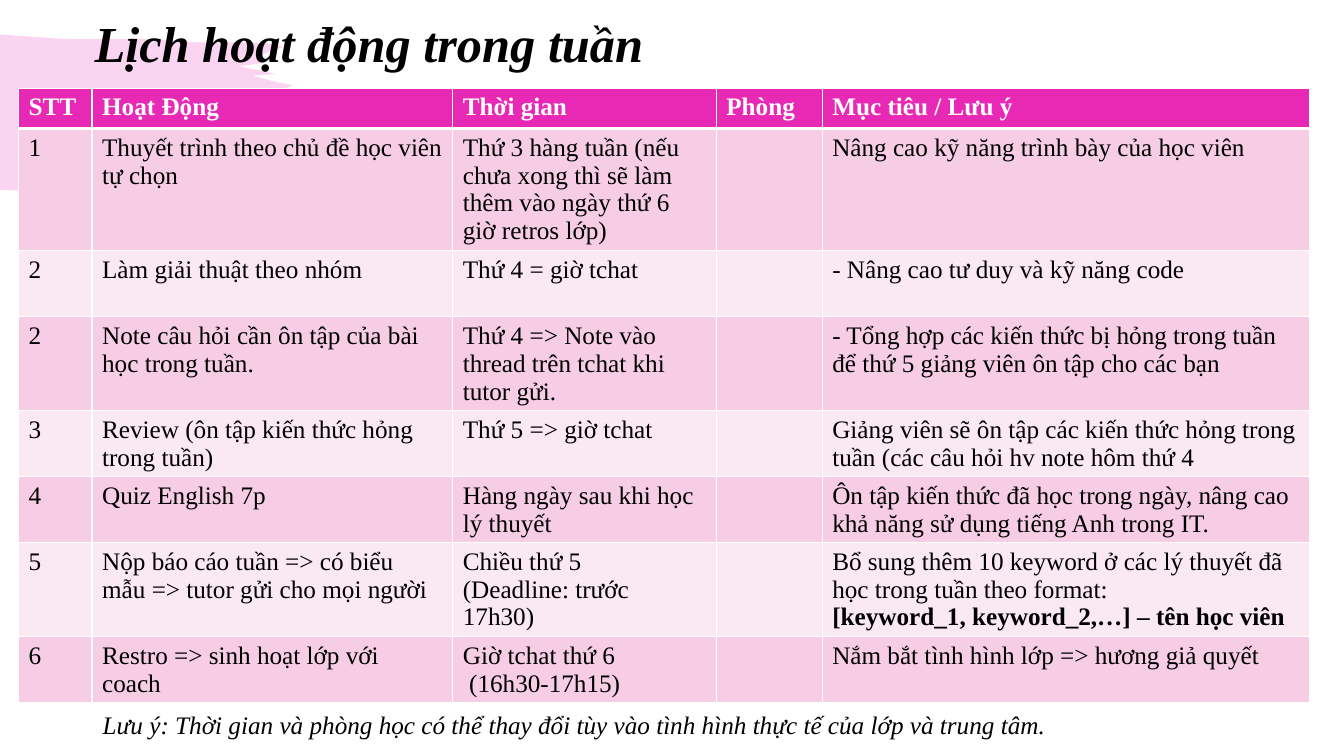
from lxml import etree
from pptx import Presentation
from pptx.dml.color import RGBColor
from pptx.enum.text import MSO_ANCHOR, PP_ALIGN
from pptx.oxml.ns import qn
from pptx.util import Cm, Pt

MIDDLE, LEFT = MSO_ANCHOR.MIDDLE, PP_ALIGN.LEFT
FONT = "Times New Roman"
BLACK = RGBColor(0, 0, 0)
WHITE = RGBColor(255, 255, 255)
PINK = RGBColor(0xE7, 0x29, 0xB5)
BANDS = RGBColor(0xF6, 0xCD, 0xE5), RGBColor(0xFA, 0xE8, 0xF3)
TITLE_ONLY = 5

COLUMN_WIDTHS = 1.85, 9.09, 6.64, 2.67, 12.28
HEADER_HEIGHT = 1.02
ROW_HEIGHTS_BY_LINES = {2: 1.66, 3: 2.37, 4: 3.08}
LINES_PER_ROW = 4, 2, 3, 2, 2, 3, 2
ROW_HEIGHTS = [HEADER_HEIGHT] + [ROW_HEIGHTS_BY_LINES[n] for n in LINES_PER_ROW]

# "\n" starts a paragraph; "\v" breaks the line and turns the rest bold
SCHEDULE = [
    ("STT", "Hoạt Động", "Thời gian", "Phòng", "Mục tiêu / Lưu ý"),
    ("1", "Thuyết trình theo chủ đề học viên tự chọn",
     "Thứ 3 hàng tuần (nếu chưa xong thì sẽ làm thêm vào ngày thứ 6 giờ retros lớp)",
     "", "Nâng cao kỹ năng trình bày của học viên"),
    ("2", "Làm giải thuật theo nhóm", "Thứ 4 = giờ tchat",
     "", "- Nâng cao tư duy và kỹ năng code"),
    ("2", "Note câu hỏi cần ôn tập của bài học trong tuần.",
     "Thứ 4 => Note vào thread trên tchat khi tutor gửi.",
     "", "- Tổng hợp các kiến thức bị hỏng trong tuần để thứ 5 giảng viên ôn tập cho các bạn"),
    ("3", "Review (ôn tập kiến thức hỏng trong tuần)", "Thứ 5 => giờ tchat",
     "", "Giảng viên sẽ ôn tập các kiến thức hỏng trong tuần (các câu hỏi hv note hôm thứ 4"),
    ("4", "Quiz English 7p", "Hàng ngày sau khi học lý thuyết",
     "", "Ôn tập kiến thức đã học trong ngày, nâng cao khả năng sử dụng tiếng Anh trong IT."),
    ("5", "Nộp báo cáo tuần => có biểu mẫu => tutor gửi cho mọi người",
     "Chiều thứ 5\n(Deadline: trước 17h30)",
     "", "Bổ sung thêm 10 keyword ở các lý thuyết đã học trong tuần theo format:"
         "\v[keyword_1, keyword_2,…] – tên học viên"),
    ("6", "Restro => sinh hoạt lớp với coach", "Giờ tchat thứ 6\n (16h30-17h15)",
     "", "Nắm bắt tình hình lớp => hương giả quyết"),
]

# Brush outline as fractions of its box
BRUSH_OUTLINE = [
    (0, 0), (0.2, 0.03), (0.46, 0.03), (0.59, 0.05), (0.75, 0.05), (0.82, 0.06),
    (0.85, 0.08), (0.77, 0.14), (0.79, 0.18), (0.72, 0.2), (0.83, 0.25), (0.76, 0.26),
    (0.83, 0.3), (0.88, 0.32), (0.86, 0.34), (0.8, 0.34), (1, 0.38), (0.97, 0.4),
    (0.96, 0.46), (0.85, 0.54), (0.83, 0.6), (0.93, 0.6), (0.76, 0.73), (0.6, 0.88),
    (0.31, 0.98), (0.2, 1), (0, 0.98),
]


def add_span(para, text, size, color, bold=False, italic=False):
    span = para.add_run()
    span.text = text
    font = span.font
    font.name, font.size, font.bold, font.italic = FONT, Pt(size), bold, italic
    font.color.rgb = color


def add_brush(page, left, top, width, height):
    points = [(left + x * width, top + y * height) for x, y in BRUSH_OUTLINE]
    builder = page.shapes.build_freeform(*points[0])
    builder.add_line_segments(points[1:], close=True)
    brush = builder.convert_to_shape()
    brush.shadow.inherit = False
    brush.line.fill.background()
    brush.fill.solid()
    brush.fill.fore_color.rgb = PINK
    color = brush.element.spPr.find(qn("a:solidFill"))[0]
    etree.SubElement(color, qn("a:alpha"), val="20000")
    page.shapes.title.element.addprevious(brush.element)


def place_title(page, left, top, width, height):
    title = page.shapes.title
    title.left, title.top, title.width, title.height = left, top, width, height
    title.text_frame.vertical_anchor = MIDDLE
    para = title.text_frame.paragraphs[0]
    para.alignment, para.line_spacing = LEFT, 0.9
    add_span(para, "Lịch hoạt động trong tuần", 36, BLACK, bold=True, italic=True)


def set_borders(cell, top, bottom):
    """Draw white cell borders; top and bottom widths are in points."""
    properties = cell._tc.get_or_add_tcPr()
    for side, width in zip("LRTB", (1, 1, top, bottom)):
        line = etree.SubElement(properties, qn(f"a:ln{side}"), w=str(Pt(width)))
        fill = etree.SubElement(line, qn("a:solidFill"))
        etree.SubElement(fill, qn("a:srgbClr"), val=str(WHITE))


def fill_cell(cell, text, is_header):
    color = WHITE if is_header else BLACK
    frame = cell.text_frame
    for index, line in enumerate(text.split("\n") if text else []):
        para = frame.add_paragraph() if index else frame.paragraphs[0]
        plain, _, strong = line.partition("\v")
        add_span(para, plain, 18, color, bold=is_header)
        if strong:
            para.add_line_break()
            add_span(para, strong, 18, color, bold=True)


def add_schedule(page, left, top):
    table = page.shapes.add_table(len(SCHEDULE), len(COLUMN_WIDTHS), left, top,
                                  Cm(sum(COLUMN_WIDTHS)), Cm(sum(ROW_HEIGHTS))).table
    for column, width in zip(table.columns, COLUMN_WIDTHS):
        column.width = Cm(width)
    for row, height in zip(table.rows, ROW_HEIGHTS):
        row.height = Cm(height)
    for i, texts in enumerate(SCHEDULE):
        for j, text in enumerate(texts):
            cell = table.cell(i, j)
            set_borders(cell, top=3 if i == 1 else 1, bottom=3 if i == 0 else 1)
            cell.fill.solid()
            cell.fill.fore_color.rgb = BANDS[(i - 1) % 2] if i else PINK
            fill_cell(cell, text, is_header=i == 0)


def add_note(page, left, top, width, height):
    box = page.shapes.add_textbox(left, top, width, height)
    box.text_frame.word_wrap = True
    add_span(box.text_frame.paragraphs[0],
             "Lưu ý: Thời gian và phòng học có thể thay đổi tùy vào "
             "tình hình thực tế của lớp và trung tâm.", 18, BLACK, italic=True)


def main():
    deck = Presentation()
    deck.slide_width, deck.slide_height = Cm(33.87), Cm(19.05)
    page = deck.slides.add_slide(deck.slide_layouts[TITLE_ONLY])
    add_brush(page, Cm(0), Cm(0.87), Cm(8.38), Cm(3.99))
    place_title(page, Cm(2.13), Cm(0.38), Cm(29.21), Cm(1.55))
    add_schedule(page, Cm(0.47), Cm(2.22))
    add_note(page, Cm(2.34), Cm(17.75), Cm(28.8), Cm(1.02))
    deck.save("out.pptx")


if __name__ == "__main__":
    main()
